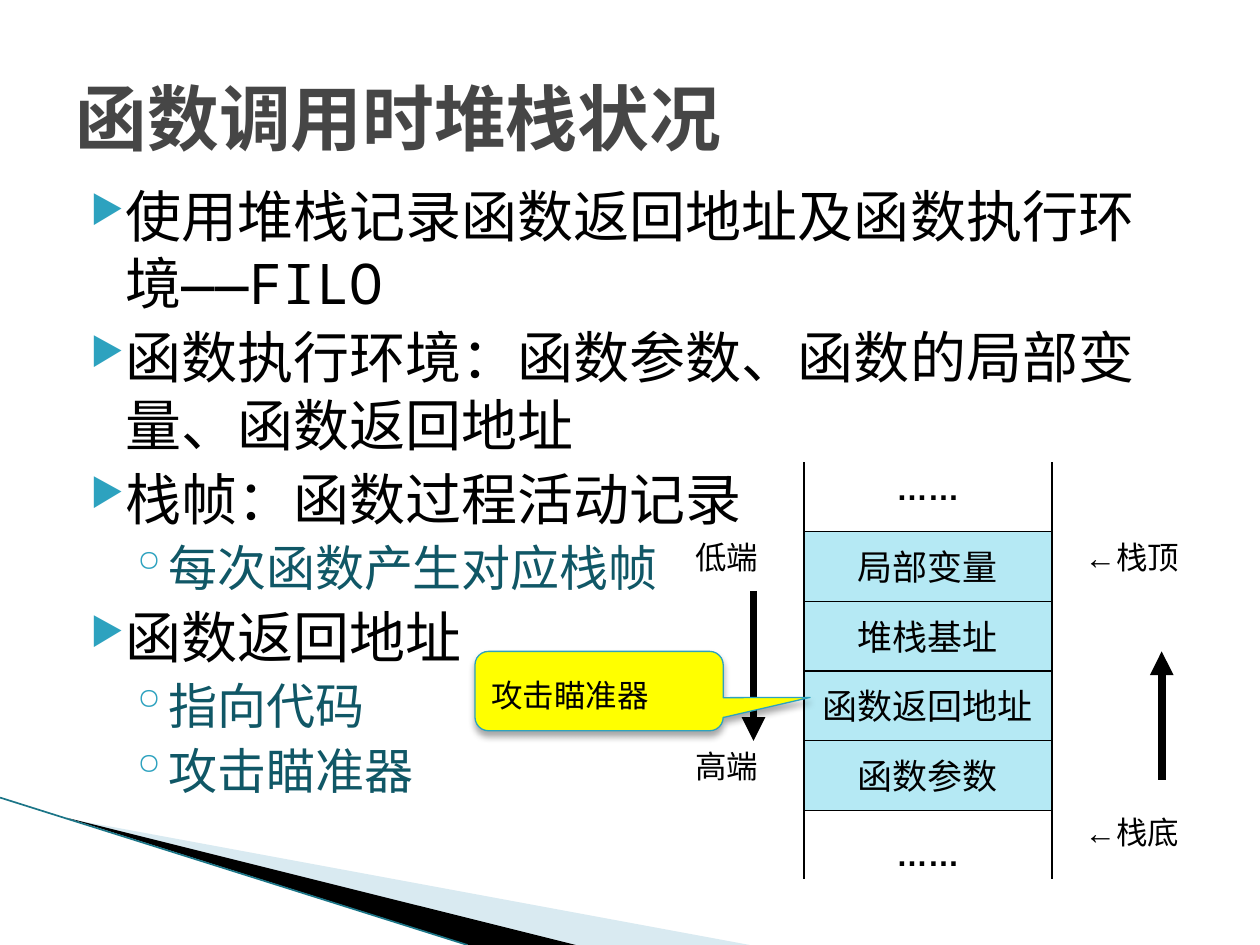
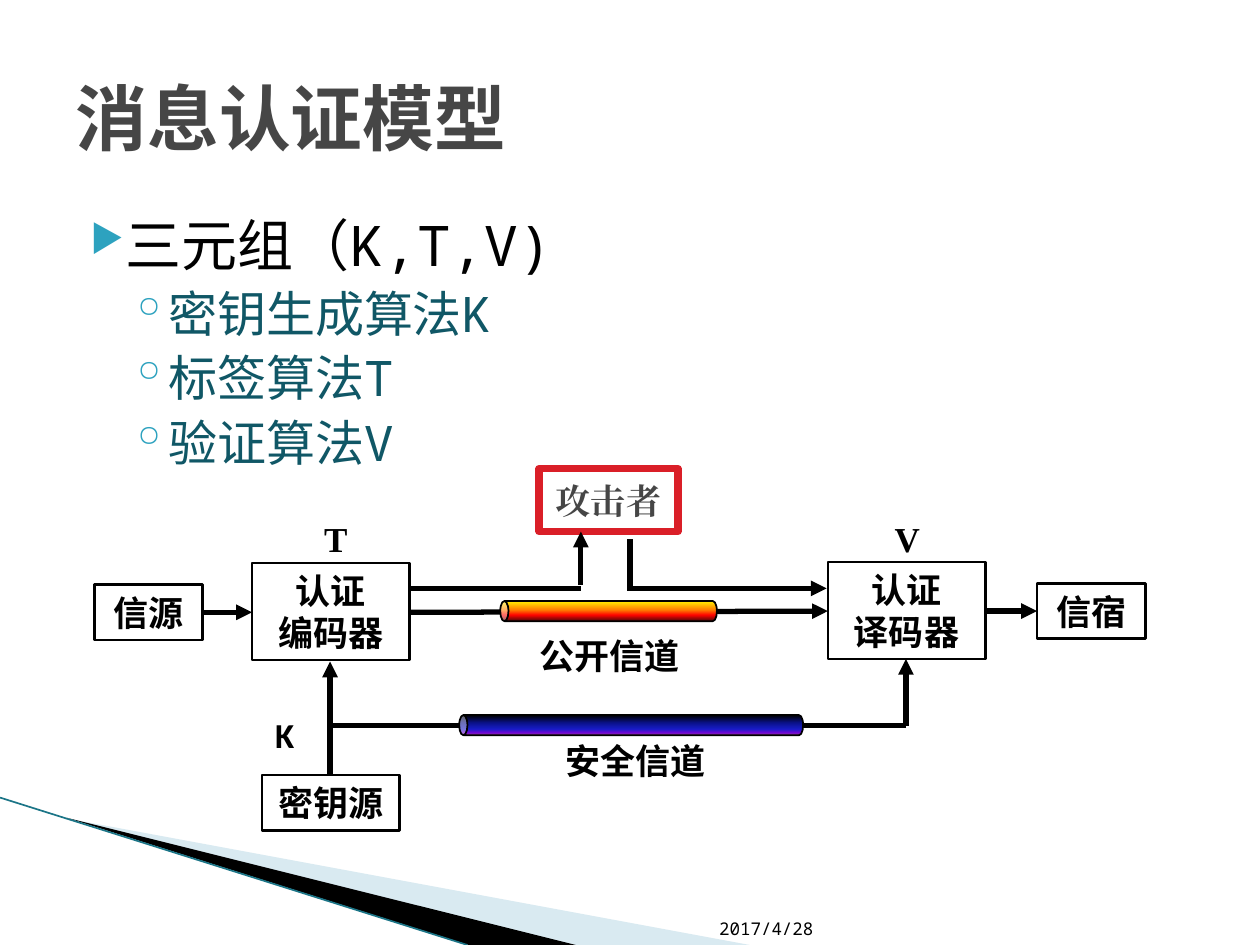
from typing import NamedTuple

from lxml import etree
from pptx import Presentation
from pptx import util as u
from pptx.dml.color import RGBColor
from pptx.enum import shapes, text
from pptx.oxml.ns import qn

BLACK = RGBColor(0, 0, 0)
WHITE = RGBColor(255, 255, 255)
GREY = RGBColor(0x46, 0x46, 0x46)
TEAL = RGBColor(0x2D, 0xA2, 0xBF)
DARK_TEAL = RGBColor(0x10, 0x57, 0x66)
EDGE_TEAL = RGBColor(0x1B, 0x75, 0x87)
PALE_BLUE = RGBColor(0xA0, 0xCB, 0xDC)
CELL_BLUE = RGBColor(0xB5, 0xE9, 0xF4)
YELLOW = RGBColor(255, 255, 0)
RED = RGBColor(0xDA, 0x1F, 0x28)

MONO, ARIAL, CALIBRI, TIMES = "Noto Sans Mono", "Arial", "Calibri", "Times New Roman"
LEFT, CENTER = text.PP_ALIGN.LEFT, text.PP_ALIGN.CENTER
TOP, MIDDLE, BOTTOM = text.MSO_ANCHOR.TOP, text.MSO_ANCHOR.MIDDLE, text.MSO_ANCHOR.BOTTOM
KIND = shapes.MSO_SHAPE

COLS, ROWS = 100, 75
CELL = u.Inches(0.1)


class Area(NamedTuple):
    col: float
    row: float
    cols: float
    rows: float

    def emu(self) -> list[int]:
        return [grid(n) for n in self]


class Bullet(NamedTuple):
    char: str
    left: float
    hang: float
    before: float
    size: float
    color: RGBColor
    scale: int


class Box(NamedTuple):
    words: str
    area: Area


class Label(NamedTuple):
    words: str
    area: Area
    font: str = CALIBRI


class Line(NamedTuple):
    x1: float
    y1: float
    x2: float
    y2: float
    arrow: bool = False


class Pipe(NamedTuple):
    area: Area
    stops: dict[int, str]


LEVELS = (
    Bullet("▶", 0.4, -0.28, 4, 32, BLACK, 68),
    Bullet("◦", 0.68, -0.25, 3.2, 28, DARK_TEAL, 100),
)


def grid(n: float) -> int:
    return round(n * CELL)


def add_xml(parent, tag: str, **attrs):
    return etree.SubElement(parent, qn(tag), {k: str(v) for k, v in attrs.items()})


def write(tf, words: str, *, size: float, font: str = MONO, color: RGBColor = BLACK,
          bold: bool = False, align=CENTER, anchor=TOP, wrap: bool = False,
          spacing: float = 1.0) -> None:
    tf.word_wrap = wrap
    tf.auto_size = text.MSO_AUTO_SIZE.NONE
    tf.vertical_anchor = anchor
    for i, line in enumerate(words.split("\n")):
        p = tf.paragraphs[0] if i == 0 else tf.add_paragraph()
        p.alignment = align
        p.line_spacing = spacing
        r = p.add_run()
        r.text = line
        r.font.size = u.Pt(size)
        r.font.name = font
        r.font.bold = bold
        r.font.color.rgb = color
        add_xml(r.font._element, "a:ea", typeface=font)


def add_label(s, words: str, area: Area, **style) -> None:
    write(s.shapes.add_textbox(*area.emu()).text_frame, words, **style)


def add_block(s, area: Area, fill: RGBColor, line: RGBColor, width: float, kind=KIND.RECTANGLE):
    sp = s.shapes.add_shape(kind, *area.emu())
    sp.shadow.inherit = False
    sp.fill.solid()
    sp.fill.fore_color.rgb = fill
    sp.line.color.rgb = line
    sp.line.width = u.Pt(width)
    return sp


def add_line(s, line: Line, width: float, color: RGBColor = BLACK) -> None:
    ends = [grid(n) for n in line[:4]]
    sp = s.shapes.add_connector(shapes.MSO_CONNECTOR.STRAIGHT, *ends)
    sp.line.color.rgb = color
    sp.line.width = u.Pt(width)
    if line.arrow:
        add_xml(sp.line._get_or_add_ln(), "a:tailEnd", type="triangle")
    add_xml(sp._element.spPr, "a:effectLst")


def add_wedge(s, points: list[tuple[float, float]], color: RGBColor, alpha: int = 100) -> None:
    start, *rest = [(grid(x), grid(y)) for x, y in points]
    fb = s.shapes.build_freeform(*start)
    fb.add_line_segments(rest)
    sp = fb.convert_to_shape()
    sp.shadow.inherit = False
    sp.fill.solid()
    sp.fill.fore_color.rgb = color
    sp.line.fill.background()
    clr = sp._element.spPr.find(qn("a:solidFill"))[0]
    add_xml(clr, "a:alpha", val=alpha * 1000)


def add_pipe(s, pipe: Pipe) -> None:
    sp = add_block(s, pipe.area, WHITE, BLACK, 1, KIND.CAN)
    sp.rotation = 270
    sp.adjustments[0] = 0.41
    solid = sp._element.spPr.find(qn("a:solidFill"))
    grad = etree.Element(qn("a:gradFill"), rotWithShape="1")
    stops = add_xml(grad, "a:gsLst")
    for pos, color in pipe.stops.items():
        add_xml(add_xml(stops, "a:gs", pos=pos * 1000), "a:srgbClr", val=color)
    add_xml(grad, "a:lin", ang=180 * 60000, scaled=0)
    solid.getparent().replace(solid, grad)


def add_bullets(s, area: Area, items: list[tuple[int, str]]) -> None:
    tf = s.shapes.add_textbox(*area.emu()).text_frame
    tf.word_wrap = True
    for i, (level, words) in enumerate(items):
        b = LEVELS[level]
        p = tf.paragraphs[0] if i == 0 else tf.add_paragraph()
        p.level = level
        p.space_before = u.Pt(b.before)
        ppr = p._p.get_or_add_pPr()
        ppr.set("marL", str(u.Inches(b.left)))
        ppr.set("indent", str(u.Inches(b.hang)))
        add_xml(add_xml(ppr, "a:buClr"), "a:srgbClr", val=TEAL)
        add_xml(ppr, "a:buSzPct", val=b.scale * 1000)
        add_xml(ppr, "a:buChar", char=b.char)
        r = p.add_run()
        r.text = words
        r.font.size = u.Pt(b.size)
        r.font.name = MONO
        r.font.color.rgb = b.color
        add_xml(r.font._element, "a:ea", typeface=MONO)


def new_slide(prs, title: str):
    s = prs.slides.add_slide(prs.slide_layouts[5])
    add_wedge(s, [(5.5, 65), (59.5, ROWS), (45.6, ROWS)], PALE_BLUE, 40)
    add_wedge(s, [(5.3, 64.9), (45.7, ROWS), (37.2, ROWS)], BLACK)
    add_line(s, Line(0, 63.3, 37.1, ROWS), 0.95, EDGE_TEAL)
    sp = s.shapes.title
    sp.left, sp.top, sp.width, sp.height = Area(5, 3, 90, 12.5).emu()
    write(sp.text_frame, title, size=41, color=GREY, bold=True, align=LEFT,
          anchor=MIDDLE, wrap=True)
    return s


def stack_slide(prs) -> None:
    s = new_slide(prs, "函数调用时堆栈状况")
    add_bullets(s, Area(5, 13.9, 90, 58.5), [
        (0, "使用堆栈记录函数返回地址及函数执行环境——FILO"),
        (0, "函数执行环境：函数参数、函数的局部变量、函数返回地址"),
        (0, "栈帧：函数过程活动记录"),
        (1, "每次函数产生对应栈帧"),
        (0, "函数返回地址"),
        (1, "指向代码"),
        (1, "攻击瞄准器"),
    ])

    left, top, width, height = 63.8, 42.2, 19.7, 5.53
    for i, words in enumerate(["局部变量", "堆栈基址", "函数返回地址", "函数参数"]):
        sp = add_block(s, Area(left, top + i * height, width, height), CELL_BLUE, BLACK, 0.75)
        write(sp.text_frame, words, size=20, font=ARIAL, anchor=MIDDLE)
    for x in (left, left + width):
        add_line(s, Line(x, 36.7, x, 69.8), 0.75)
    for y in (36.7, 65.8):
        add_label(s, "……", Area(left, y, width, 5), size=18, font=ARIAL, bold=True)

    for words, x, y in [("←栈顶", 85.1, 42.2), ("←栈底", 85.1, 64),
                        ("低端", 54.2, 42.2), ("高端", 54.2, 58.8)]:
        add_label(s, words, Area(x, y, 13.5, 5), size=18, font=ARIAL, align=LEFT, wrap=True)
    add_line(s, Line(59.8, 46.9, 59.8, 58.8, True), 4.5)
    add_line(s, Line(92.2, 61.9, 92.2, 51.7, True), 4.5)

    sp = add_block(s, Area(37.7, 51.7, 19.7, 6.3), YELLOW, TEAL, 0.75,
                   KIND.ROUNDED_RECTANGULAR_CALLOUT)
    for i, value in enumerate((0.85, 0.08, 0.17)):
        sp.adjustments[i] = value
    effects = sp._element.spPr.find(qn("a:effectLst"))
    shadow = add_xml(effects, "a:outerShdw", blurRad=u.Pt(4), dist=u.Pt(3),
                     dir=90 * 60000, rotWithShape=0)
    add_xml(add_xml(shadow, "a:srgbClr", val=BLACK), "a:alpha", val=35000)
    write(sp.text_frame, "攻击瞄准器", size=18, font=ARIAL, align=LEFT, anchor=MIDDLE,
          wrap=True, spacing=1.2)


def authentication_slide(prs) -> None:
    s = new_slide(prs, "消息认证模型")
    add_bullets(s, Area(5, 16.2, 90, 49.5), [
        (0, "三元组（K,T,V)"),
        (1, "密钥生成算法K"),
        (1, "标签算法T"),
        (1, "验证算法V"),
    ])
    add_label(s, "2017/4/28", Area(56.1, 70.1, 11.2, 4.9), size=10, align=LEFT, anchor=BOTTOM)

    boxes = [
        Box("信源", Area(7.5, 46.4, 8.6, 4.4)),
        Box("密钥源", Area(20.8, 61.5, 10.9, 4.4)),
        Box("认证\n编码器", Area(20, 44.7, 12.5, 7.7)),
        Box("认证\n译码器", Area(65.7, 44.6, 12.5, 7.7)),
        Box("信宿", Area(82.3, 46.3, 8.6, 4.4)),
    ]
    for box in boxes:
        sp = add_block(s, box.area, WHITE, BLACK, 1.5)
        write(sp.text_frame, box.words, size=20, bold=True, anchor=MIDDLE)
    sp = add_block(s, Area(42.8, 37.2, 11, 5), WHITE, RED, 4.33)
    write(sp.text_frame, "攻击者", size=20, font=TIMES, color=GREY, bold=True, anchor=MIDDLE)

    lines = [
        Line(16.1, 48.6, 20, 48.6, True),
        Line(26.2, 61.5, 26.2, 52.5, True),
        Line(71.9, 57.6, 71.9, 52.3, True),
        Line(26.2, 57.6, 71.9, 57.6),
        Line(32.5, 48.6, 65.7, 48.5, True),
        Line(78.2, 48.5, 82.3, 48.5, True),
        Line(46.1, 46.4, 46.1, 42.2, True),
        Line(50, 46.9, 50, 42.8),
        Line(50, 46.7, 65.6, 46.7, True),
        Line(32.5, 46.7, 46.1, 46.7),
    ]
    for line in lines:
        add_line(s, line, 3)

    pipes = [
        Pipe(Area(49.3, 43.9, 1.6, 27.3), {0: "000000", 40: "0A128C", 70: "181CC7",
                                           88: "7005D4", 100: "8C3D91"}),
        Pipe(Area(47.5, 39.9, 1.6, 17.2), {0: "FFF200", 45: "FF7A00", 70: "FF0300",
                                           100: "4D0808"}),
    ]
    for pipe in pipes:
        add_pipe(s, pipe)

    labels = [
        Label("K", Area(20.8, 56.1, 3.6, 4.4)),
        Label("公开信道", Area(41.8, 49.9, 13.2, 4.4)),
        Label("安全信道", Area(43.8, 58.2, 13.3, 4.4)),
        Label("T", Area(24.7, 40.6, 3.9, 4.4), TIMES),
        Label("V", Area(70, 40.6, 4, 4.4), TIMES),
    ]
    for label in labels:
        add_label(s, label.words, label.area, size=20, font=label.font, bold=True)


def main() -> None:
    prs = Presentation()
    prs.slide_width, prs.slide_height = COLS * CELL, ROWS * CELL
    stack_slide(prs)
    authentication_slide(prs)
    prs.save("out.pptx")


main()
